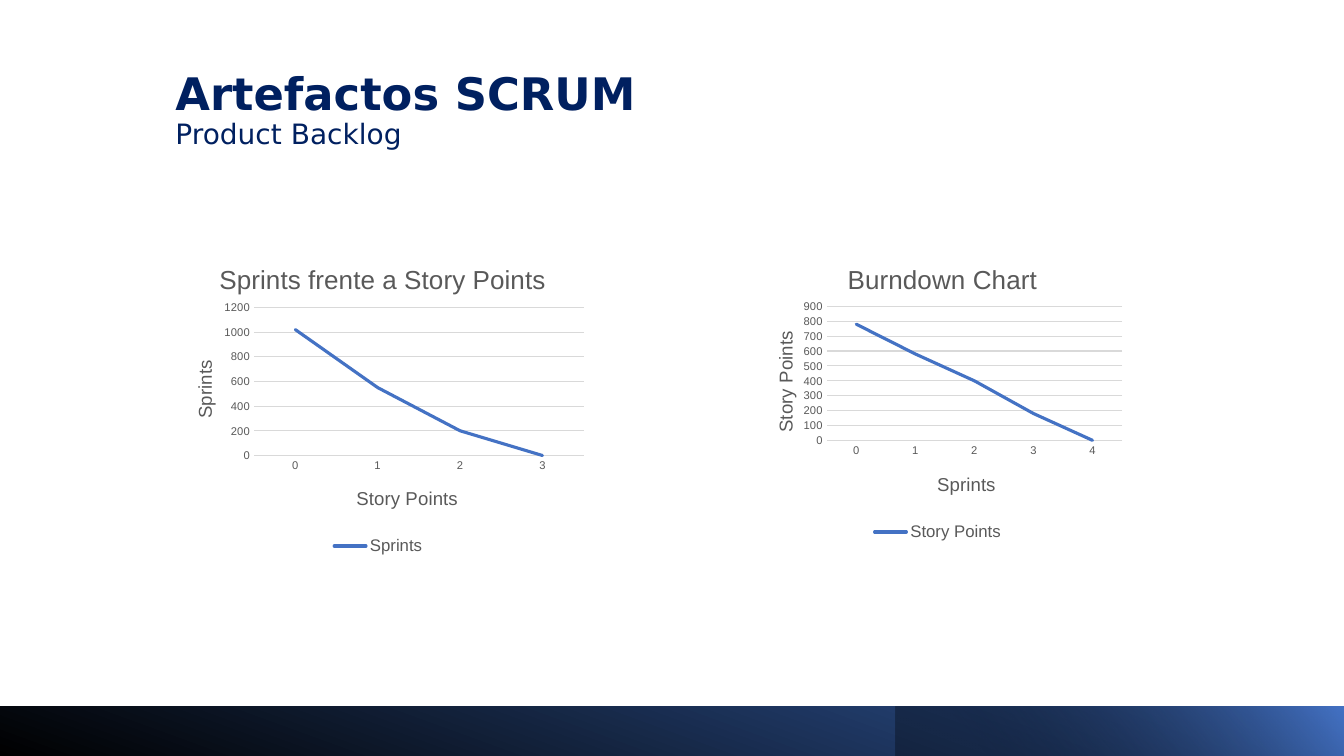
import dataclasses

import lxml.etree
import pptx
import pptx.chart.data
import pptx.dml.color
import pptx.enum.chart
import pptx.enum.shapes
import pptx.enum.text
import pptx.oxml
import pptx.oxml.ns
import pptx.util
from pptx.util import Inches


@dataclasses.dataclass(frozen=True)
class Theme:
    navy: str = "002060"
    black: str = "000000"
    deep_blue: str = "2F5597"
    blue: str = "4472C4"
    gray: str = "595959"
    grid: str = "D9D9D9"
    heading_font: str = "DejaVu Sans"
    chart_font: str = "Arial"
    heading_size: float = 32
    subheading_size: float = 20
    chart_title_size: float = 18.6
    axis_title_size: float = 13.3
    legend_size: float = 12
    chart_size: float = 10
    tick_size: float = 8


@dataclasses.dataclass(frozen=True)
class FooterBar:
    left: float
    width: float
    angle: float
    colors: tuple[str, str]
    positions: tuple[float, float]
    start_opacity: int = 100


@dataclasses.dataclass(frozen=True)
class LineChart:
    box: tuple[float, float, float, float]
    title: str
    category_title: str
    value_title: str
    values: tuple[int, ...]
    maximum: int
    step: int
    plot: tuple[float, float, float, float]
    title_at: tuple[float, float]
    category_title_at: tuple[float, float]
    value_title_at: tuple[float, float]
    legend_at: tuple[float, float]


THEME = Theme()

FOOTER_BARS = (
    FooterBar(0, 13.33, 70, (THEME.black, THEME.deep_blue), (0, 1)),
    FooterBar(8.88, 4.46, 40, (THEME.black, THEME.blue), (0.19, 0.99), 31),
)

CHARTS = (
    LineChart(
        (7.4, 2.36, 3.81, 3.06), "Burndown Chart", "Sprints", "Story Points",
        (780, 580, 400, 180, 0), 900, 100, (8.2, 3.04, 2.93, 1.33),
        (8.36, 2.55), (9.26, 4.65), (7.64, 3.25), (8.62, 5.15),
    ),
    LineChart(
        (1.64, 2.36, 4.23, 3.2), "Sprints frente a Story Points", "Story Points", "Sprints",
        (1020, 550, 200, 0), 1200, 200, (2.52, 3.05, 3.27, 1.47),
        (2.13, 2.55), (3.5, 4.79), (1.88, 3.54), (3.26, 5.29),
    ),
)


def rgb(color: str) -> pptx.dml.color.RGBColor:
    return pptx.dml.color.RGBColor.from_string(color)


def style_font(font, name: str, size: float, color: str, bold: bool = False) -> None:
    font.name = name
    font.size = pptx.util.Pt(size)
    font.color.rgb = rgb(color)
    font.bold = bold


def style_line(line, color: str, width: float) -> None:
    line.color.rgb = rgb(color)
    line.width = pptx.util.Pt(width)


def set_layout(element, index: int, chart: LineChart, area: tuple[float, ...]) -> None:
    qualified = pptx.oxml.ns.qn
    for previous in element.findall(qualified("c:layout")):
        element.remove(previous)
    layout = pptx.oxml.parse_xml(f"<c:layout {pptx.oxml.ns.nsdecls('c')}/>")
    manual = lxml.etree.SubElement(layout, qualified("c:manualLayout"))
    left, top, width, height = chart.box
    settings = {"xMode": "edge", "yMode": "edge"}
    settings["x"] = f"{(area[0] - left) / width:.4f}"
    settings["y"] = f"{(area[1] - top) / height:.4f}"
    if len(area) == 4:
        settings = {"layoutTarget": "inner", **settings}
        settings["w"] = f"{area[2] / width:.4f}"
        settings["h"] = f"{area[3] / height:.4f}"
    for name, value in settings.items():
        lxml.etree.SubElement(manual, qualified(f"c:{name}")).set("val", value)
    element.insert(index, layout)


def set_chart_title(title, text: str, size: float, chart: LineChart,
                    position: tuple[float, float]) -> None:
    title.text_frame.text = text
    style_font(title.text_frame.paragraphs[0].runs[0].font, THEME.chart_font, size, THEME.gray)
    set_layout(title._element, 1, chart, position)


def add_footer_bar(slide, bar: FooterBar) -> None:
    shape = slide.shapes.add_shape(
        pptx.enum.shapes.MSO_SHAPE.RECTANGLE,
        Inches(bar.left), Inches(7.01), Inches(bar.width), Inches(0.51),
    )
    shape.shadow.inherit = False
    shape.line.fill.background()
    shape.fill.gradient()
    shape.fill.gradient_angle = bar.angle
    for stop, color, position in zip(shape.fill.gradient_stops, bar.colors, bar.positions):
        stop.color.rgb = rgb(color)
        stop.position = position
    if bar.start_opacity < 100:
        color_element = shape._element.spPr.find(".//" + pptx.oxml.ns.qn("a:srgbClr"))
        alpha = lxml.etree.SubElement(color_element, pptx.oxml.ns.qn("a:alpha"))
        alpha.set("val", str(bar.start_opacity * 1000))


def add_heading(slide) -> None:
    title = slide.shapes.title
    title.left, title.top = Inches(1.64), Inches(0.38)
    title.width, title.height = Inches(8.62), Inches(1.45)
    frame = title.text_frame
    frame.text = "Artefactos SCRUM\vProduct Backlog"
    frame.word_wrap = True
    frame.auto_size = pptx.enum.text.MSO_AUTO_SIZE.NONE
    frame.vertical_anchor = pptx.enum.text.MSO_ANCHOR.MIDDLE
    paragraph = frame.paragraphs[0]
    paragraph.alignment = pptx.enum.text.PP_ALIGN.LEFT
    paragraph.line_spacing = 0.9
    heading, subheading = paragraph.runs
    style_font(heading.font, THEME.heading_font, THEME.heading_size, THEME.navy, True)
    style_font(subheading.font, THEME.heading_font, THEME.subheading_size, THEME.navy)


def add_line_chart(slide, spec_chart: LineChart) -> None:
    data = pptx.chart.data.CategoryChartData()
    data.categories = [str(index) for index in range(len(spec_chart.values))]
    data.add_series(spec_chart.value_title, spec_chart.values)
    chart = slide.shapes.add_chart(
        pptx.enum.chart.XL_CHART_TYPE.LINE, *map(Inches, spec_chart.box), data
    ).chart
    style_font(chart.font, THEME.chart_font, THEME.chart_size, THEME.black)
    set_chart_title(chart.chart_title, spec_chart.title, THEME.chart_title_size,
                    spec_chart, spec_chart.title_at)

    category_axis, value_axis = chart.category_axis, chart.value_axis
    for axis, text, position in (
        (category_axis, spec_chart.category_title, spec_chart.category_title_at),
        (value_axis, spec_chart.value_title, spec_chart.value_title_at),
    ):
        set_chart_title(axis.axis_title, text, THEME.axis_title_size, spec_chart, position)
        axis.major_tick_mark = pptx.enum.chart.XL_TICK_MARK.NONE
        axis.minor_tick_mark = pptx.enum.chart.XL_TICK_MARK.NONE
        style_font(axis.tick_labels.font, THEME.chart_font, THEME.tick_size, THEME.gray)
    body = value_axis.axis_title._element.find(".//" + pptx.oxml.ns.qn("a:bodyPr"))
    body.set("rot", "-5400000")
    body.set("vert", "horz")
    style_line(category_axis.format.line, THEME.grid, 0.75)
    value_axis.format.line.fill.background()
    style_line(value_axis.major_gridlines.format.line, THEME.grid, 0.75)
    value_axis.minimum_scale = 0
    value_axis.maximum_scale = spec_chart.maximum
    value_axis.major_unit = spec_chart.step

    plot = chart.plots[0]
    plot.vary_by_categories = False
    series = plot.series[0]
    series.smooth = False
    series.marker.style = pptx.enum.chart.XL_MARKER_STYLE.NONE
    style_line(series.format.line, THEME.blue, 2.25)
    series.format.line._get_or_add_ln().set("cap", "rnd")

    chart.has_legend = True
    chart.legend.position = pptx.enum.chart.XL_LEGEND_POSITION.BOTTOM
    chart.legend.include_in_layout = False
    style_font(chart.legend.font, THEME.chart_font, THEME.legend_size, THEME.gray)
    set_layout(chart.legend._element, 1, spec_chart, spec_chart.legend_at)
    set_layout(chart._chartSpace.chart.plotArea, 0, spec_chart, spec_chart.plot)


def main() -> None:
    presentation = pptx.Presentation()
    presentation.slide_width, presentation.slide_height = Inches(13.33), Inches(7.5)
    slide = presentation.slides.add_slide(presentation.slide_layouts[5])
    for bar in FOOTER_BARS:
        add_footer_bar(slide, bar)
    add_heading(slide)
    for chart in CHARTS:
        add_line_chart(slide, chart)
    presentation.save("out.pptx")


if __name__ == "__main__":
    main()
